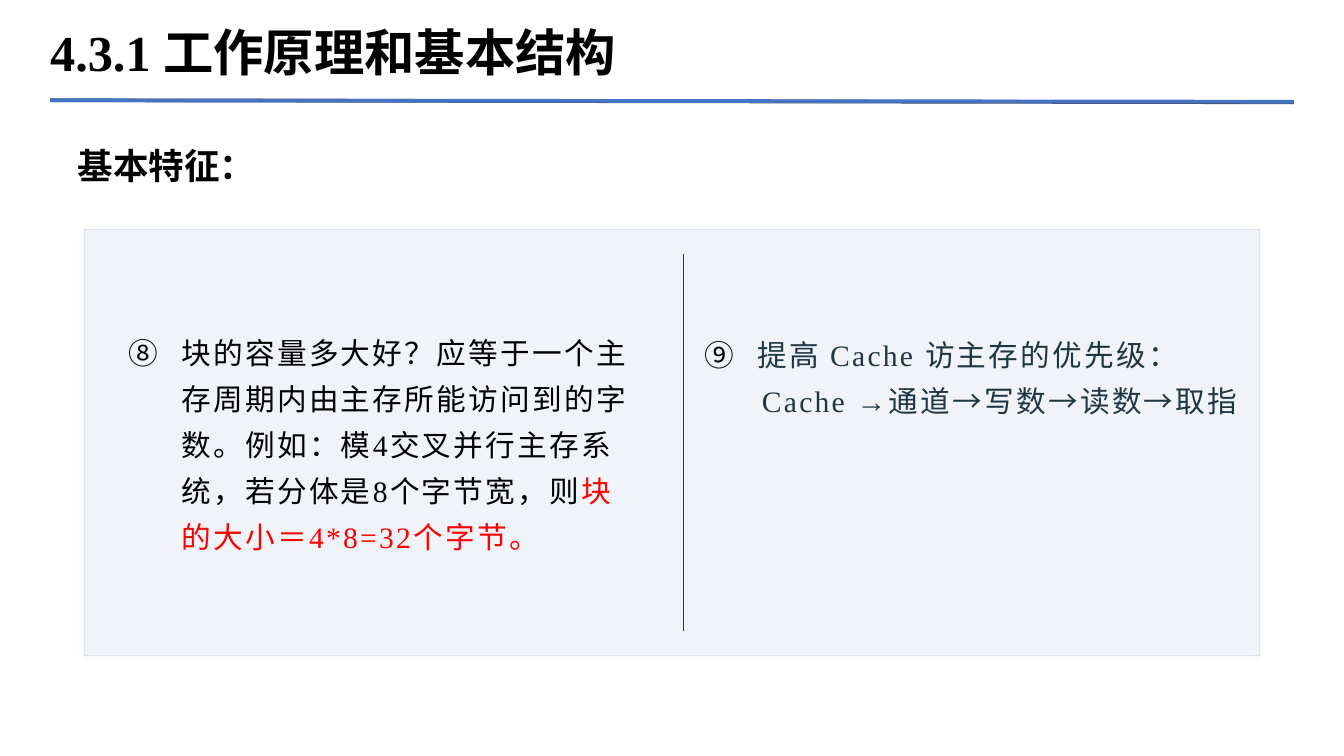
from dataclasses import dataclass

from lxml.etree import SubElement
from pptx import Presentation
from pptx.dml.color import RGBColor
from pptx.enum.lang import MSO_LANGUAGE_ID
from pptx.enum.shapes import MSO_CONNECTOR, MSO_SHAPE
from pptx.enum.text import MSO_ANCHOR
from pptx.oxml.ns import qn
from pptx.util import Pt


@dataclass(frozen=True)
class Theme:
    font: str = "Times New Roman"
    black: str = "000000"
    slate: str = "1F3744"
    red: str = "FF0000"
    blue: str = "4472C4"
    navy: str = "203864"
    grey: str = "484849"
    title_size: float = 34
    heading_size: float = 24
    body_size: float = 20
    body_tracking: float = 1.5
    body_leading: float = 1.3


def add_element(parent, tag, **attributes):
    element = SubElement(parent, qn(tag))
    for name, value in attributes.items():
        element.set(name, str(value))
    return element


def set_alpha(color_format, percent):
    """Make a solid fill or line colour partly transparent."""
    color = color_format._xFill.find(qn("a:srgbClr"))
    add_element(color, "a:alpha", val=percent * 1000)


def add_text(paragraph, text, *, theme, size, color, bold=False, tracking=0):
    run = paragraph.add_run()
    run.text = text
    font = run.font
    font.name = theme.font
    font.size = Pt(size)
    font.bold = bold
    font.color.rgb = RGBColor.from_string(color)
    font.language_id = MSO_LANGUAGE_ID.SIMPLIFIED_CHINESE
    if tracking:
        run._r.get_or_add_rPr().set("spc", str(int(tracking * 100)))


class SlideBuilder:
    def __init__(self, slide, theme):
        self.slide = slide
        self.theme = theme

    def line(self, start, end, color, width):
        connector = self.slide.shapes.add_connector(
            MSO_CONNECTOR.STRAIGHT, *map(Pt, start + end))
        connector.line.color.rgb = RGBColor.from_string(color)
        connector.line.width = Pt(width)
        add_element(connector._element.spPr, "a:effectLst")

    def panel(self, box):
        """Add a pale rectangle with a faint outline and a soft shadow."""
        shape = self.slide.shapes.add_shape(MSO_SHAPE.RECTANGLE, *map(Pt, box))
        blue = RGBColor.from_string(self.theme.blue)
        shape.fill.solid()
        shape.fill.fore_color.rgb = blue
        set_alpha(shape.fill.fore_color, 5)
        shape.line.color.rgb = blue
        shape.line.width = Pt(0.5)
        set_alpha(shape.line.color, 20)
        shape.shadow.inherit = False
        effects = shape._element.spPr.find(qn("a:effectLst"))
        shadow = add_element(effects, "a:outerShdw", blurRad=Pt(4), dist=Pt(3),
                             dir=90 * 60000, rotWithShape=0)
        color = add_element(shadow, "a:srgbClr", val=self.theme.black)
        add_element(color, "a:alpha", val=40 * 1000)

    def text_box(self, box, anchor=MSO_ANCHOR.TOP, inset=None):
        frame = self.slide.shapes.add_textbox(*map(Pt, box)).text_frame
        frame.word_wrap = True
        frame.vertical_anchor = anchor
        if inset is not None:
            frame.margin_left = frame.margin_right = Pt(inset)
            frame.margin_top = frame.margin_bottom = Pt(inset)
        return frame

    def heading(self, box, text, size, **frame_format):
        frame = self.text_box(box, **frame_format)
        add_text(frame.paragraphs[0], text, theme=self.theme, size=size,
                 color=self.theme.black, bold=True)

    def body(self, paragraph, parts, left, number=None):
        """Fill a paragraph with (text, colour) parts, numbered if asked."""
        properties = paragraph._p.get_or_add_pPr()
        properties.set("marL", str(Pt(left)))
        properties.set("indent", str(Pt(-36 if number else 0)))
        if number:
            bullet_color = add_element(properties, "a:buClr")
            add_element(bullet_color, "a:srgbClr", val=self.theme.black)
            add_element(properties, "a:buAutoNum",
                        type="circleNumDbPlain", startAt=number)
        paragraph.line_spacing = self.theme.body_leading
        for text, color in parts:
            add_text(paragraph, text, theme=self.theme, color=color,
                     size=self.theme.body_size,
                     tracking=self.theme.body_tracking)


def main():
    presentation = Presentation()
    presentation.slide_width = Pt(907.2)
    presentation.slide_height = Pt(510.48)
    slide = presentation.slides.add_slide(presentation.slide_layouts[6])
    theme = Theme()
    builder = SlideBuilder(slide, theme)

    builder.line((33.84, 67.7), (873.4, 69.1), theme.grey, 2.5)
    builder.panel((56.9, 154.8, 793.4, 288))

    block_size = builder.text_box((56.9, 165.6, 380.2, 262.1), MSO_ANCHOR.MIDDLE)
    builder.body(block_size.paragraphs[0], [
        ("块的容量多大好？应等于一个主存周期内由主存所能访问到的字数。"
         "例如：模4交叉并行主存系统，若分体是8个字节宽，则", theme.black),
        ("块的大小＝4*8=32个字节。", theme.red),
    ], left=58.5, number=8)

    priority = builder.text_box((445.7, 163.4, 421.2, 175.7), MSO_ANCHOR.MIDDLE)
    builder.body(priority.paragraphs[0],
                 [("提高 Cache 访主存的优先级：", theme.slate)],
                 left=58.5, number=9)
    builder.body(priority.add_paragraph(),
                 [("Cache →通道→写数→读数→取指", theme.slate)], left=61.5)

    builder.line((461.5, 171.4), (461.5, 426.2), theme.navy, 0.5)
    builder.line((33.84, 67.7), (873.4, 68.7), theme.blue, 2.5)
    builder.heading((33.84, 6.5, 838.8, 56.9), "4.3.1 工作原理和基本结构",
                    theme.title_size, anchor=MSO_ANCHOR.MIDDLE, inset=0)
    builder.heading((45.4, 93.6, 454.3, 36), "基本特征：", theme.heading_size)

    presentation.save("out.pptx")


if __name__ == "__main__":
    main()
